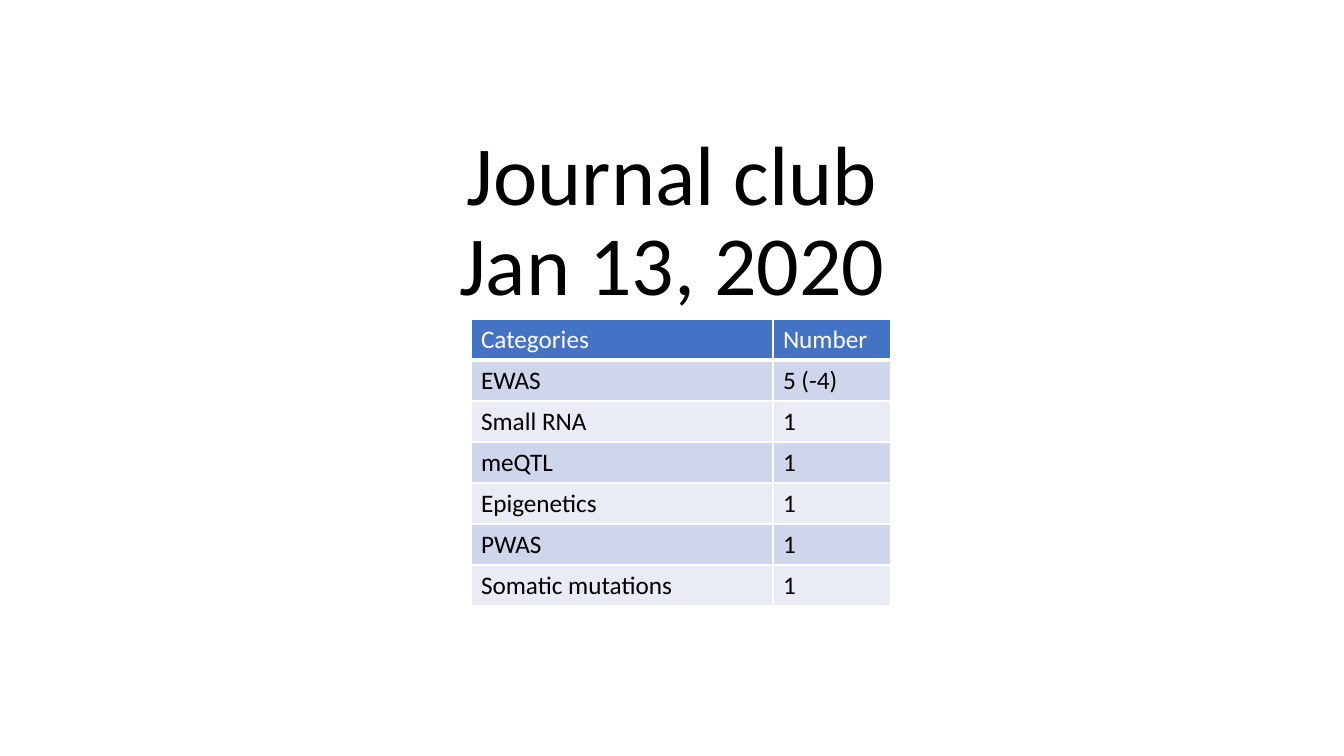
from lxml import etree
from pptx import Presentation
from pptx.dml.color import RGBColor
from pptx.enum.text import MSO_ANCHOR, PP_ALIGN
from pptx.oxml.ns import qn
from pptx.util import Pt

CENTER, LEFT = PP_ALIGN.CENTER, PP_ALIGN.LEFT
BOTTOM, TOP = MSO_ANCHOR.BOTTOM, MSO_ANCHOR.TOP
EMU_PER_INCH, PX_PER_INCH = 914400, 100.8

THEME = {
    "font": "Calibri",
    "title_size": 60,
    "table_size": 18,
    "text": "000000",
    "header_text": "FFFFFF",
    "header_fill": "4472C4",
    "band_fills": ("CFD5EA", "E9EBF5"),
    "border": "FFFFFF",
}


def px(length):
    return round(length * EMU_PER_INCH / PX_PER_INCH)


def write_text(text_frame, text, size, color, alignment):
    paragraph = text_frame.paragraphs[0]
    paragraph.text = text
    paragraph.alignment = alignment
    font_format = {"name": THEME["font"], "size": Pt(size), "bold": False}
    for run in paragraph.runs:
        for attribute, value in font_format.items():
            setattr(run.font, attribute, value)
        run.font.color.rgb = RGBColor.from_string(color)
    return paragraph


presentation = Presentation()
presentation.slide_width, presentation.slide_height = px(1344), px(756)
slide = presentation.slides.add_slide(presentation.slide_layouts[6])

# Title
title = slide.shapes.add_textbox(px(168), px(56), px(1008), px(263))
title.text_frame.word_wrap = True
title.text_frame.vertical_anchor = BOTTOM
title_paragraph = write_text(title.text_frame, "Journal club\vJan 13, 2020",
                             THEME["title_size"], THEME["text"], CENTER)
title_paragraph.line_spacing = 0.9

# Category table
rows = [
    ("Categories", "Number"),
    ("EWAS", "5 (-4)"),
    ("Small RNA", "1"),
    ("meQTL", "1"),
    ("Epigenetics", "1"),
    ("PWAS", "1"),
    ("Somatic mutations", "1"),
]
column_widths = (302, 118)
row_height = 41
table = slide.shapes.add_table(
    len(rows), len(column_widths), px(471), px(319),
    px(sum(column_widths)), px(row_height * len(rows))).table
for column, width in zip(table.columns, column_widths):
    column.width = px(width)

for row_index, row_values in enumerate(rows):
    table.rows[row_index].height = px(row_height)
    is_header = row_index == 0
    fill_color = THEME["header_fill"] if is_header else THEME["band_fills"][(row_index - 1) % 2]
    text_color = THEME["header_text"] if is_header else THEME["text"]
    for column_index, value in enumerate(row_values):
        cell = table.cell(row_index, column_index)
        cell.vertical_anchor = TOP
        write_text(cell.text_frame, value, THEME["table_size"], text_color, LEFT)

        # Cell borders, heavier under the header
        properties = cell._tc.get_or_add_tcPr()
        for side in ("L", "R", "T", "B"):
            width = 3 if is_header and side == "B" else 1
            border = etree.SubElement(properties, qn("a:ln" + side), w=str(Pt(width)))
            border_fill = etree.SubElement(border, qn("a:solidFill"))
            etree.SubElement(border_fill, qn("a:srgbClr"), val=THEME["border"])

        cell.fill.solid()
        cell.fill.fore_color.rgb = RGBColor.from_string(fill_color)

presentation.save("out.pptx")
